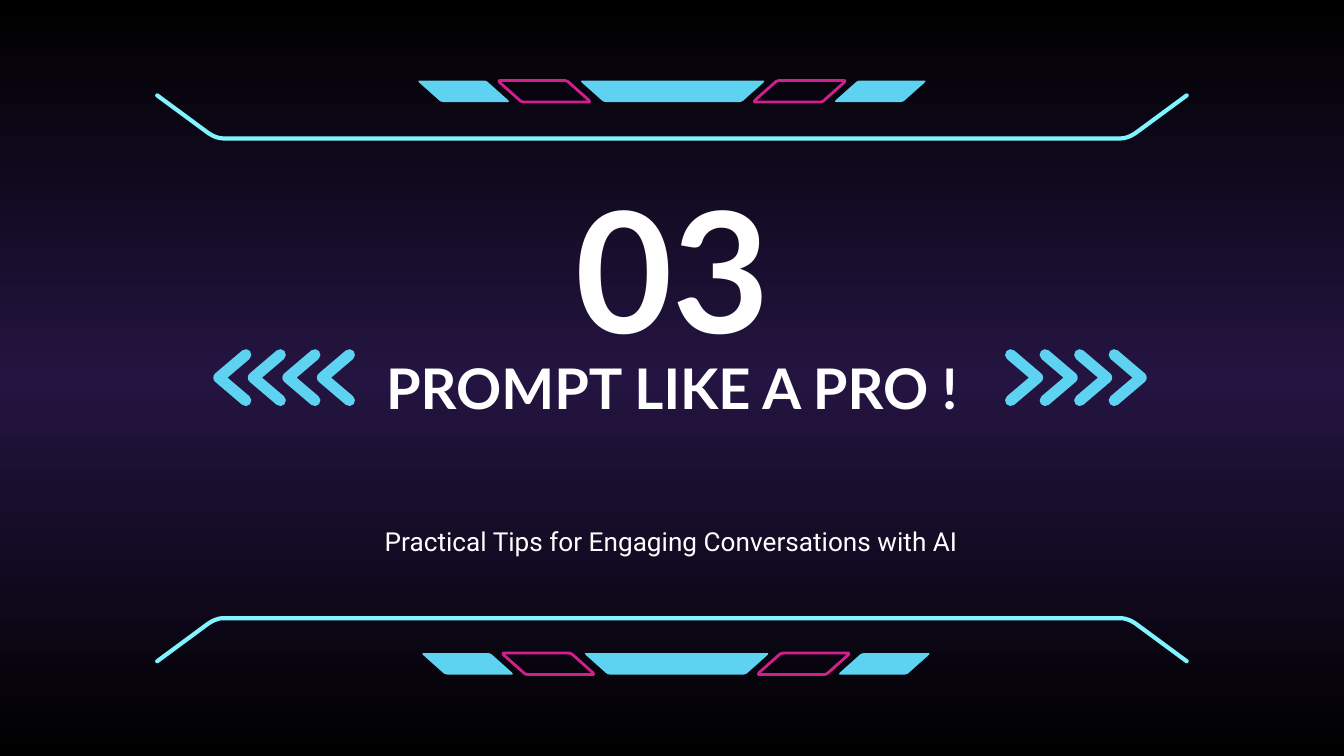
"""Build the "Prompt like a pro" section slide."""
from copy import deepcopy

from lxml.etree import SubElement
from pptx import Presentation
from pptx.dml.color import RGBColor
from pptx.enum.text import MSO_ANCHOR, PP_ALIGN
from pptx.oxml.ns import qn
from pptx.util import Inches, Pt

BLUE, PINK, CYAN, WHITE = "5ED2F1", "D1208D", "81F5FF", "FFFFFF"
BAR_H = 0.16


def rgb(value):
    """Turn a hex string into a colour."""
    return RGBColor.from_string(value)


def set_background(s, colors):
    """Fill the slide with an evenly spaced vertical gradient."""
    fill = s.background.fill
    fill.gradient()
    fill.gradient_angle = 270
    stops = s.element.find(".//" + qn("a:gsLst"))
    stops.append(deepcopy(stops[-1]))
    for i, (stop, color) in enumerate(zip(fill.gradient_stops, colors)):
        stop.position = i / (len(colors) - 1)
        stop.color.rgb = rgb(color)


def curve(a, b, c, d, steps=6):
    """Return points along a cubic curve."""
    return [
        tuple((1 - t) ** 3 * p + 3 * (1 - t) ** 2 * t * q
              + 3 * (1 - t) * t ** 2 * u + t ** 3 * v
              for p, q, u, v in zip(a, b, c, d))
        for t in (i / steps for i in range(steps + 1))
    ]


def add_path(shapes, points, fill=None, line=None, width=1.5, close=False):
    """Draw a filled or outlined path through points in inches."""
    pts = [(Inches(x), Inches(y)) for x, y in points]
    builder = shapes.build_freeform(*pts[0])
    builder.add_line_segments(pts[1:], close=close)
    sp = builder.convert_to_shape()
    sp.shadow.inherit = False
    if fill:
        sp.fill.solid()
        sp.fill.fore_color.rgb = rgb(fill)
    else:
        sp.fill.background()
    if line:
        sp.line.color.rgb = rgb(line)
        sp.line.width = Pt(width)
        ln = sp.line._get_or_add_ln()
        ln.set("cap", "rnd")
        SubElement(ln, qn("a:round"))
    else:
        sp.line.fill.background()


def bar_points(kind, w):
    """Outline a rounded bar leaning left, leaning right or tapering down."""
    edge = (curve((0.02, 0), (0, 0), (0, 0), (0.01, 0.015))
            + curve((0.155, 0.145), (0.165, 0.155), (0.18, BAR_H), (0.19, BAR_H)))
    if kind == "taper":
        return edge + [(w - x, y) for x, y in reversed(edge)]
    points = edge + [(w - x, BAR_H - y) for x, y in edge]
    return points if kind == "left" else [(w - x, y) for x, y in points]


def add_bars(s, left, top):
    """Add a row of five bars as one group."""
    group = s.shapes.add_group_shape()
    bars = [
        (0, 0.68, "left", BLUE, None),
        (0.6, 0.68, "left", None, PINK),
        (1.21, 1.37, "taper", BLUE, None),
        (2.5, 0.68, "right", None, PINK),
        (3.1, 0.68, "right", BLUE, None),
    ]
    for dx, w, kind, fill, line in bars:
        points = [(left + dx + x, top + y) for x, y in bar_points(kind, w)]
        add_path(group.shapes, points, fill, line, close=True)


def add_chevrons(s, tip, direction):
    """Add four chevrons, from the innermost tip outwards."""
    group = s.shapes.add_group_shape()
    for i in range(4):
        x = tip + direction * i * 0.257
        back = x - direction * 0.2
        points = [(back, 2.98), (x, 2.81), (back, 2.64)]
        add_path(group.shapes, points, line=BLUE, width=6)


def add_frame(s, end, direction):
    """Add a frame line whose ends bend up (1) or down (-1) to a height."""
    half = [(1.17, 0)] + curve((1.55, 0.28), (1.58, 0.3), (1.62, 0.32), (1.66, 0.32))
    outline = half + [(10 - x, y) for x, y in reversed(half)]
    points = [(x, end + direction * y) for x, y in outline]
    add_path(s.shapes, points, line=CYAN, width=2.25)


def add_text(s, text, box, size, font, bold=False, anchor=MSO_ANCHOR.MIDDLE, spacing=1):
    """Add a centred white text box."""
    tf = s.shapes.add_textbox(*map(Inches, box)).text_frame
    tf.word_wrap = True
    tf.vertical_anchor = anchor
    tf.margin_left = tf.margin_right = tf.margin_top = tf.margin_bottom = Inches(0.1)
    tf.text = text
    p = tf.paragraphs[0]
    p.alignment = PP_ALIGN.CENTER
    p.line_spacing = spacing
    r = p.runs[0]
    r.font.size = Pt(size)
    r.font.name = font
    r.font.bold = bold
    r.font.color.rgb = rgb(WHITE)


def main():
    """Build and save the slide."""
    prs = Presentation()
    prs.slide_width, prs.slide_height = Inches(10), Inches(5.625)
    s = prs.slides.add_slide(prs.slide_layouts[6])
    set_background(s, ["000000", "241441", "000000"])
    add_text(s, "PROMPT LIKE A PRO !", (2.42, 2.53, 5.16, 1.09), 30, "Lato",
             bold=True, anchor=MSO_ANCHOR.TOP)
    add_text(s, "03", (3.72, 1.31, 2.57, 1.34), 90, "Lato", bold=True)
    add_bars(s, 3.14, 4.86)
    add_bars(s, 3.11, 0.6)
    add_chevrons(s, 7.72, 1)
    add_chevrons(s, 2.4, -1)
    add_text(s, "Practical Tips for Engaging Conversations with AI",
             (2.5, 3.61, 4.99, 0.79), 14, "Roboto", spacing=1.15)
    add_frame(s, 0.71, 1)
    add_frame(s, 4.92, -1)
    prs.save("out.pptx")


if __name__ == "__main__":
    main()
